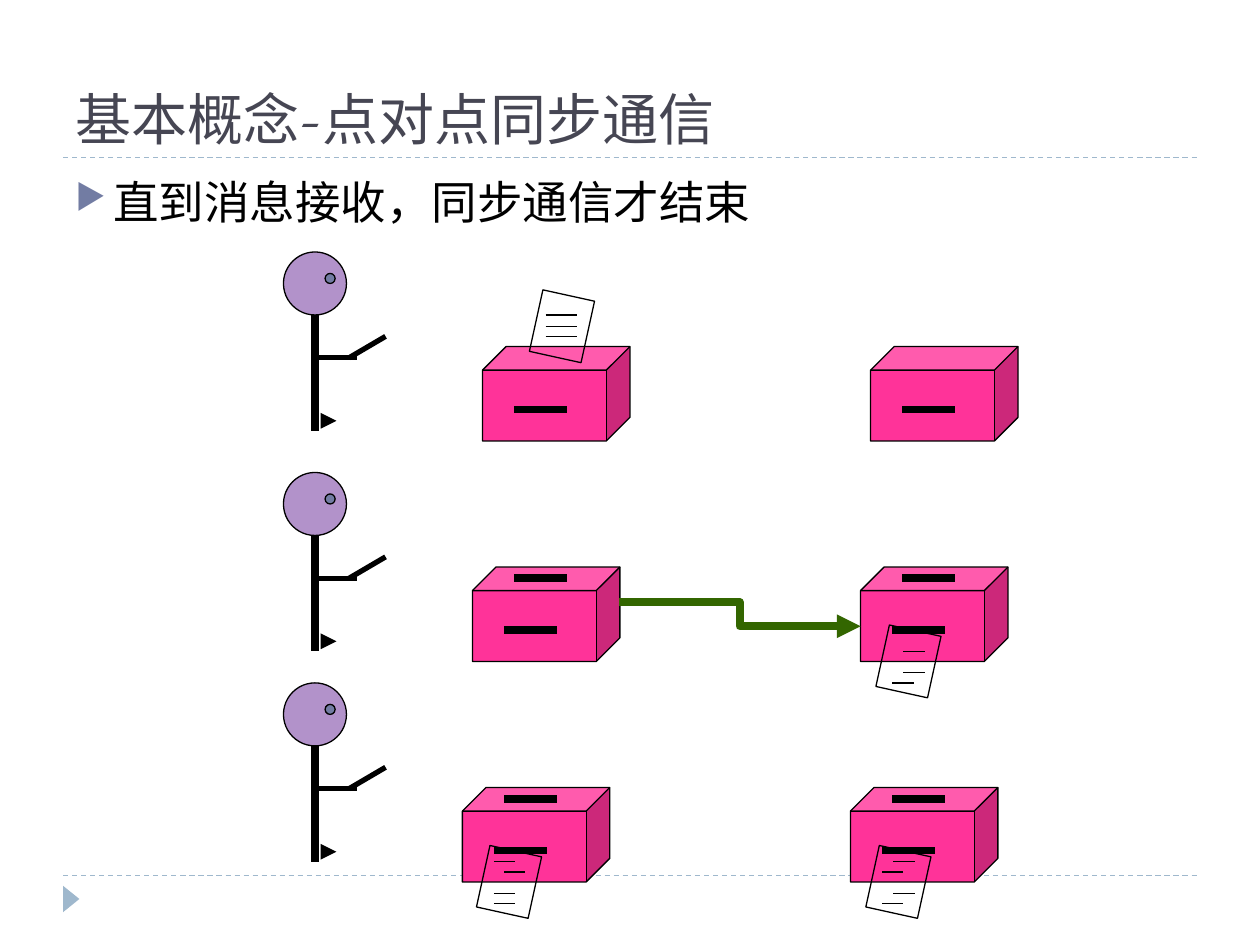
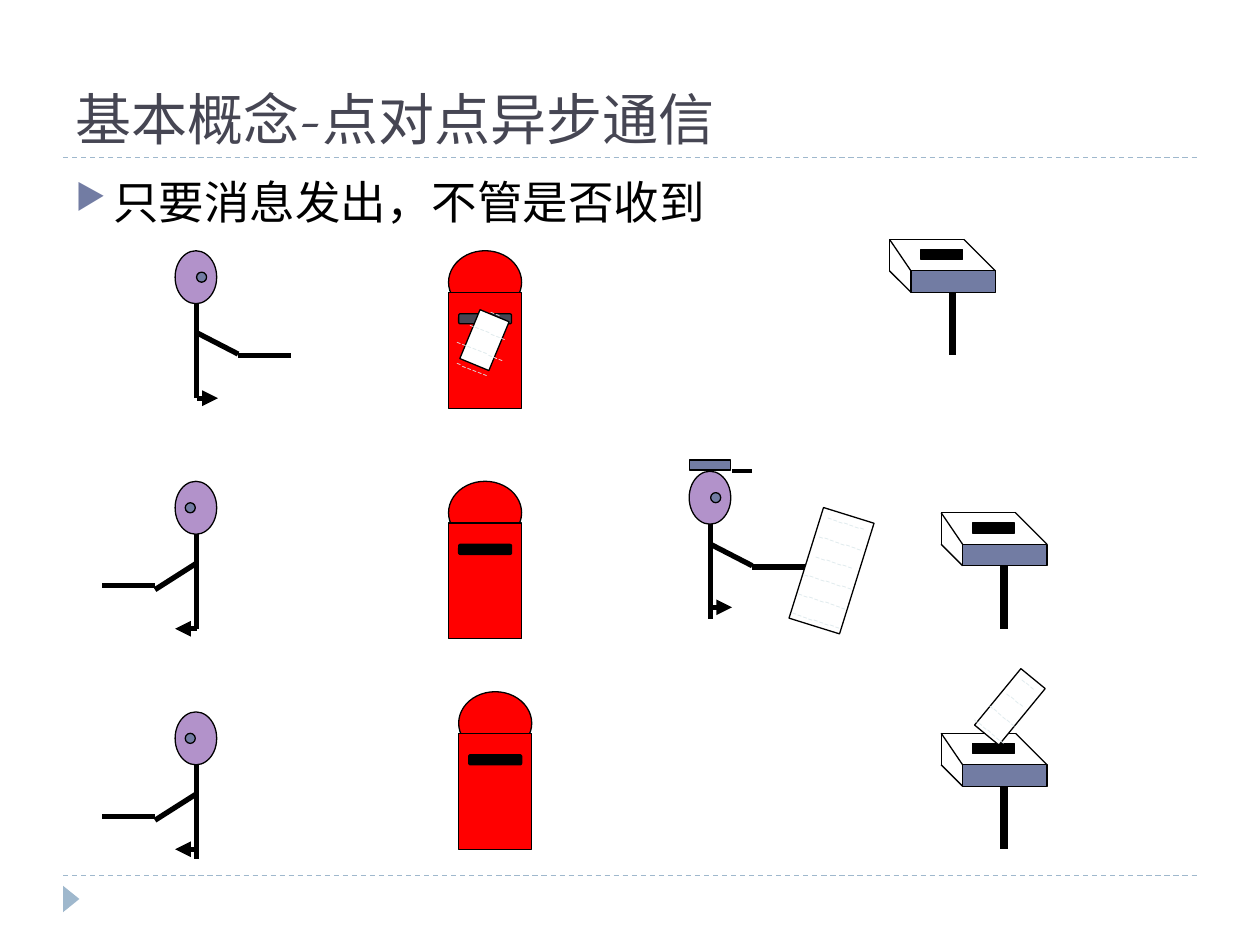
from lxml import etree
from pptx import Presentation
from pptx.dml.color import RGBColor
from pptx.enum.dml import MSO_LINE
from pptx.enum.shapes import MSO_CONNECTOR as LINK, MSO_SHAPE as SHAPE
from pptx.enum.text import MSO_ANCHOR as ANCHOR, PP_ALIGN as ALIGN
from pptx.oxml.ns import qn
from pptx.util import Inches, Pt

COLORS = {
    "black": "000000", "white": "FFFFFF", "title": "464653", "band": "9FB8CD",
    "slate": "727CA3", "head": "B292CA", "box": "FF3399", "wire": "336600",
    "mailbox": "FF0000", "ink": "DDE9EC",
}
TITLE_FONT, BODY_FONT, LETTER_FONT = "TeX Gyre Bonum", "Cabin", "Comic Neue"
THIN, THICK, HEAVY = 0.75, 3, 4.5


def rgb(name):
    return RGBColor.from_string(COLORS[name])


def write(frame, paragraphs, font, size, color, align=ALIGN.LEFT,
          anchor=ANCHOR.TOP, wrap=True, before=0):
    """Fill a frame; a paragraph given as a tuple has every second run white."""
    frame.word_wrap = wrap
    frame.vertical_anchor = anchor
    for index, content in enumerate(paragraphs):
        paragraph = frame.paragraphs[0] if index == 0 else frame.add_paragraph()
        paragraph.alignment = align
        paragraph.space_before = Pt(before)
        runs = (content,) if isinstance(content, str) else content
        for position, words in enumerate(runs):
            run = paragraph.add_run()
            run.text = words
            run.font.name = font
            run.font.size = Pt(size)
            run.font.color.rgb = rgb("white" if position % 2 else color)


def add_bullet(paragraph):
    props = paragraph._p.get_or_add_pPr()
    props.set("marL", str(Inches(0.3)))
    props.set("indent", str(-Inches(0.3)))
    tint = etree.SubElement(props, qn("a:buClr"))
    etree.SubElement(tint, qn("a:srgbClr"), val=COLORS["slate"])
    etree.SubElement(props, qn("a:buSzPct"), val="76000")
    etree.SubElement(props, qn("a:buChar"), char="▶")


class Deck:
    def __init__(self):
        self.file = Presentation()
        self.file.slide_width, self.file.slide_height = Inches(10), Inches(7.5)
        self.slide = None

    def new_slide(self, title, point):
        self.slide = self.file.slides.add_slide(self.file.slide_layouts[6])
        for y in (6.95, 1.25):
            self.line(0.5, y, 9.5, y, color="band", dash=True)
        self.shape(SHAPE.ISOSCELES_TRIANGLE, 0.46, 7.07, 0.21, 0.13,
                   fill="band", outline=False, turn=90)
        write(self.frame(0.5, 0.17, 9, 1.08), [title], TITLE_FONT, 32, "title",
              anchor=ANCHOR.BOTTOM)
        body = self.frame(0.5, 1.33, 9, 5.4)
        write(body, [point], BODY_FONT, 26, "black", before=6)
        add_bullet(body.paragraphs[0])

    def frame(self, x, y, width, height):
        place = map(Inches, (x, y, width, height))
        return self.slide.shapes.add_textbox(*place).text_frame

    def shape(self, kind, x, y, width, height, fill=None, outline=True, turn=0):
        place = map(Inches, (x, y, width, height))
        shape = self.slide.shapes.add_shape(kind, *place)
        shape.shadow.inherit = False
        shape.rotation = turn
        if fill:
            shape.fill.solid()
            shape.fill.fore_color.rgb = rgb(fill)
        else:
            shape.fill.background()
        if outline:
            shape.line.color.rgb = rgb("black")
            shape.line.width = Pt(THIN)
        else:
            shape.line.fill.background()
        return shape

    def line(self, x1, y1, x2, y2, width=THIN, color="black", dash=False,
             arrow=False, kind=LINK.STRAIGHT):
        ends = map(Inches, (x1, y1, x2, y2))
        line = self.slide.shapes.add_connector(kind, *ends)
        line.line.color.rgb = rgb(color)
        line.line.width = Pt(width)
        if dash:
            line.line.dash_style = MSO_LINE.DASH
        if arrow:
            etree.SubElement(line.line._get_or_add_ln(), qn("a:tailEnd"), type="triangle")
        etree.SubElement(line._element.spPr, qn("a:effectLst"))

    def eye(self, x, y):
        self.shape(SHAPE.OVAL, x, y, 0.08, 0.08, "slate")

    def waiting_person(self, x, y):
        """Stick figure of the synchronous slide; x is the spine."""
        self.line(x, y + 0.5, x, y + 1.42, HEAVY)
        self.line(x + 0.08, y + 1.34, x + 0.17, y + 1.34, THICK, arrow=True)
        self.line(x, y + 0.84, x + 0.33, y + 0.84, THICK)
        self.line(x + 0.27, y + 0.84, x + 0.56, y + 0.67, THICK)
        self.shape(SHAPE.OVAL, x - 0.25, y, 0.5, 0.5, "head")
        self.eye(x + 0.08, y + 0.17)

    def message_box(self, x, y, top_slot=True):
        self.shape(SHAPE.CUBE, x, y, 1.17, 0.75, "box")
        slots = [(0.25, 0.5)] + ([(0.33, 0.09)] if top_slot else [])
        for dx, dy in slots:
            self.line(x + dx, y + dy, x + dx + 0.42, y + dy, HEAVY)

    def sheet(self, x, y, strokes, length=0.17):
        """Tilted sheet; strokes are the starts of its lines of writing."""
        self.shape(SHAPE.RECTANGLE, x, y, 0.42, 0.5, turn=12.4)
        for dx, dy in strokes:
            self.line(x + dx, y + dy, x + dx + length, y + dy)

    def walking_person(self, x, y, facing, shoulder=0.65, drop=0.17, foot=1.17):
        """Stick figure of the asynchronous slide; facing is 1 right, -1 left."""
        elbow, hand = x + facing * 0.33, x + facing * 0.75
        self.shape(SHAPE.OVAL, x - 0.17, y, 0.33, 0.42, "head")
        self.line(x, y + 0.42, x, y + 1.17, THICK)
        self.line(x, y + foot, x + facing * 0.17, y + foot, THICK, arrow=True)
        self.line(x, y + shoulder, elbow, y + shoulder + drop, THICK)
        self.line(elbow, y + shoulder + 0.18, hand, y + shoulder + 0.18, THICK)
        self.eye(x if facing > 0 else x - 0.09, y + 0.17)

    def street_mailbox(self, x, y, slot="black"):
        self.shape(SHAPE.OVAL, x, y, 0.58, 0.5, "mailbox")
        self.shape(SHAPE.RECTANGLE, x, y + 0.33, 0.58, 0.92, "mailbox")
        self.shape(SHAPE.ROUNDED_RECTANGLE, x + 0.08, y + 0.5, 0.42, 0.08, slot)

    def home_mailbox(self, x, y):
        self.shape(SHAPE.RECTANGLE, x + 0.17, y + 0.25, 0.67, 0.17, "slate")
        edges = [(0, 0, 0.17, 0.25), (0.59, 0, 0.84, 0.25), (0, 0, 0.59, 0),
                 (0, 0, 0, 0.25), (0, 0.25, 0.17, 0.42)]
        for x1, y1, x2, y2 in edges:
            self.line(x + x1, y + y1, x + x2, y + y2)
        self.shape(SHAPE.RECTANGLE, x + 0.25, y + 0.08, 0.33, 0.08, "black")
        self.line(x + 0.5, y + 0.42, x + 0.5, y + 0.92, HEAVY)

    def letter(self, x, y, width, height, turn, rows):
        paper = self.shape(SHAPE.RECTANGLE, x, y, width, height, "white", turn=turn)
        write(paper.text_frame, rows, LETTER_FONT, 8, "ink", align=ALIGN.CENTER,
              anchor=ANCHOR.MIDDLE, wrap=False, before=2)


def synchronous_slide(deck):
    deck.new_slide("基本概念-点对点同步通信", "直到消息接收，同步通信才结束")
    for y in (2, 3.75, 5.42):
        deck.waiting_person(2.5, y)
    for row, sender in enumerate((3.83, 3.75, 3.67)):
        for x in (sender, sender + 3.08):
            deck.message_box(x, 2.75 + row * 1.75, top_slot=row > 0)
    deck.sheet(4.25, 2.34, [(0.08, 0.16), (0.08, 0.25), (0.08, 0.33)], length=0.25)
    deck.sheet(7, 5, [(0.17, 0.17), (0.17, 0.34), (0.08, 0.42)])
    deck.sheet(3.83, 6.75, [(0.09, 0.09), (0.17, 0.17), (0.09, 0.34), (0.09, 0.42)])
    deck.sheet(6.92, 6.75, [(0.17, 0.09), (0.08, 0.17), (0.17, 0.34), (0.08, 0.42)])
    deck.line(4.91, 4.78, 6.83, 4.97, HEAVY, "wire", arrow=True, kind=LINK.ELBOW)


def asynchronous_slide(deck):
    deck.new_slide("基本概念-点对点异步通信", "只要消息发出，不管是否收到")
    deck.walking_person(1.56, 1.99, 1)
    deck.walking_person(1.56, 3.82, -1, drop=0.21)
    deck.walking_person(1.56, 5.65, -1, drop=0.21, foot=1.09)

    deck.street_mailbox(3.56, 1.99, slot="title")
    deck.street_mailbox(3.56, 3.82)
    deck.street_mailbox(3.64, 5.49)
    for x, y in ((7.06, 1.9), (7.47, 4.07), (7.47, 5.82)):
        deck.home_mailbox(x, y)

    postman, crown = 5.64, 3.74
    deck.walking_person(postman, crown, 1, shoulder=0.58, foot=1.08)
    deck.line(postman + 0.33, crown, postman + 0.17, crown, 2.25)
    deck.shape(SHAPE.RECTANGLE, postman - 0.17, crown - 0.09, 0.33, 0.08, "slate")

    deck.letter(3.72, 2.49, 0.25, 0.42, 22.5,
                ["--", "-------", ("-------", "-", "-"), "------"])
    deck.letter(6.39, 4.07, 0.42, 0.92, 17.3,
                ["-------", "--------", "-------"] + ["---------"] * 3)
    deck.letter(7.89, 5.32, 0.25, 0.58, 39.4, ["---", "----", "------", "-------"])


def main():
    deck = Deck()
    synchronous_slide(deck)
    asynchronous_slide(deck)
    deck.file.save("out.pptx")


if __name__ == "__main__":
    main()
